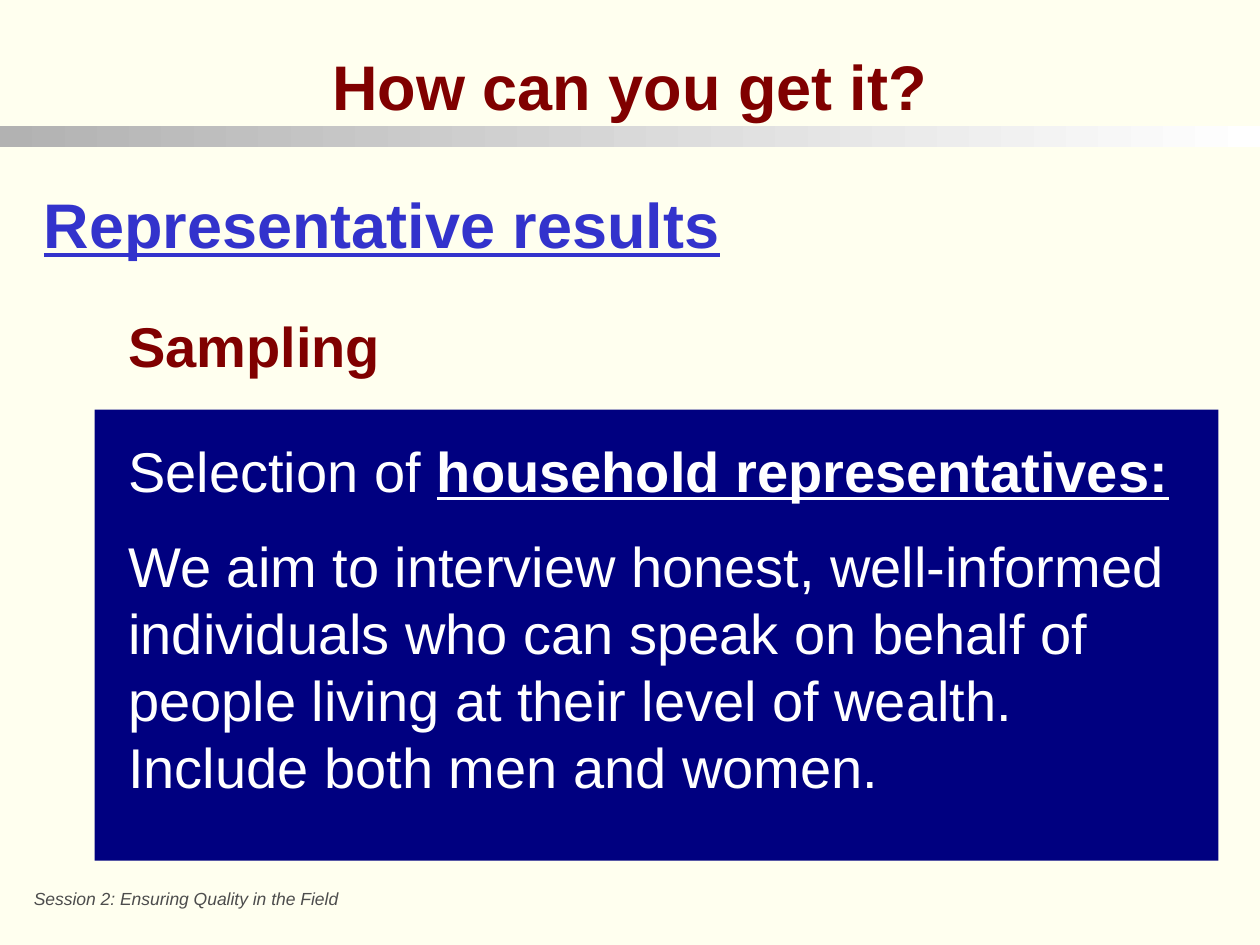
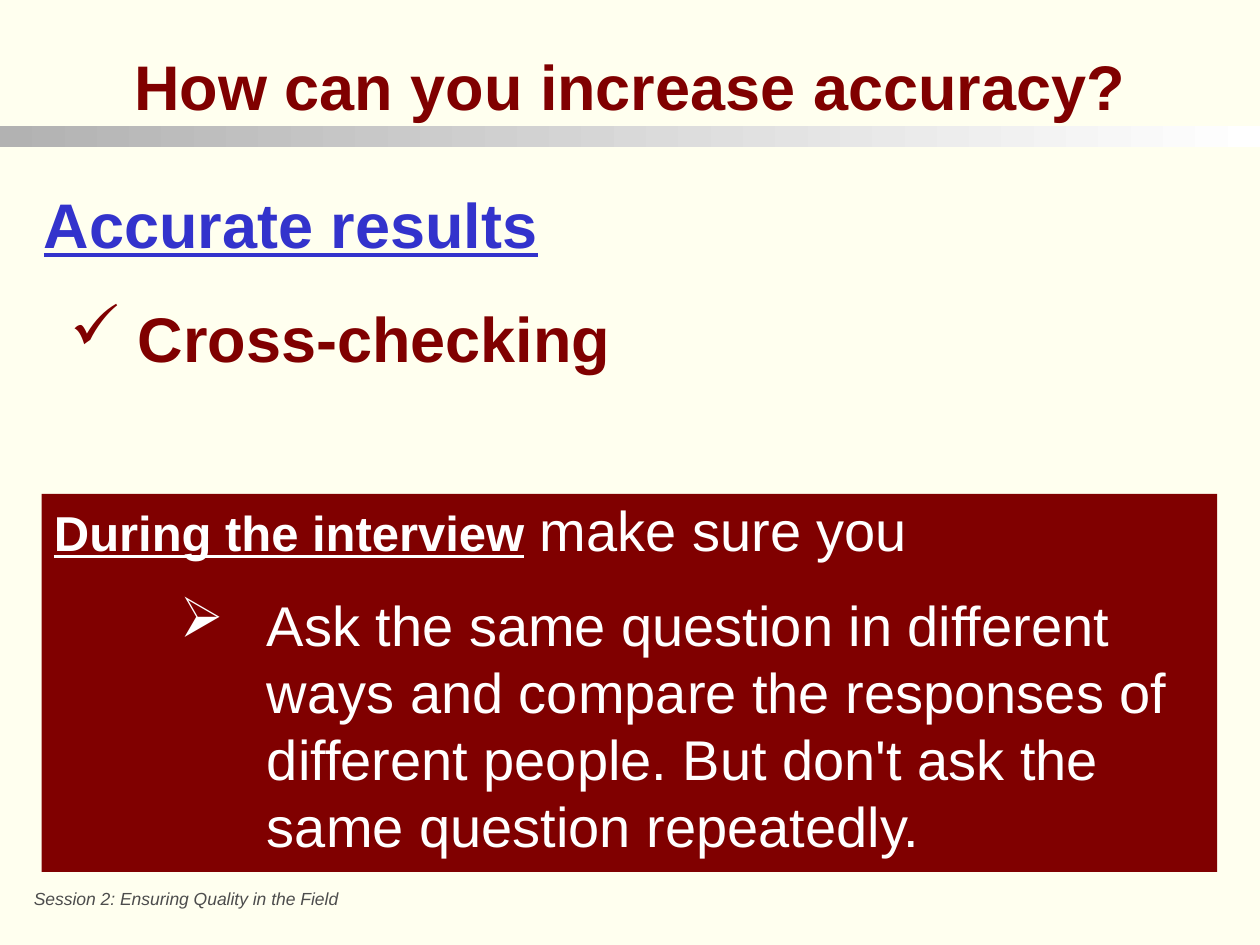
from lxml import etree
from pptx import Presentation
from pptx.dml.color import RGBColor
from pptx.enum.shapes import MSO_SHAPE
from pptx.enum.text import MSO_ANCHOR, MSO_AUTO_SIZE, PP_ALIGN
from pptx.oxml.ns import qn
from pptx.util import Inches, Pt

RECTANGLE = MSO_SHAPE.RECTANGLE
CENTER = PP_ALIGN.CENTER
TOP, MIDDLE = MSO_ANCHOR.TOP, MSO_ANCHOR.MIDDLE
FIT_SHAPE = MSO_AUTO_SIZE.SHAPE_TO_FIT_TEXT

FONT = "Arial"
CREAM, MAROON, NAVY, BLUE = "FFFFEF", "800000", "000080", "3333CC"
WHITE, SILVER, GRAY = "FFFFFF", "B2B2B2", "4D4D4D"
FOOTER = "Session 2: Ensuring Quality in the Field"


def color(hex_value):
    return RGBColor.from_string(hex_value)


def add_rectangle(page, box):
    shape = page.shapes.add_shape(RECTANGLE, *map(Inches, box))
    shape.shadow.inherit = False
    shape.line.fill.background()
    return shape


def add_panel(page, box, fill):
    panel = add_rectangle(page, box)
    panel.fill.solid()
    panel.fill.fore_color.rgb = color(fill)


def add_text_frame(page, box, anchor=TOP):
    frame = page.shapes.add_textbox(*map(Inches, box)).text_frame
    frame.word_wrap = True
    frame.auto_size = FIT_SHAPE
    frame.vertical_anchor = anchor
    return frame


def set_para(para, left=0, first=0, before=0, bullet=None, align=None):
    """Set indents in inches, space before in points, and the bullet."""
    para.space_before = Pt(before)
    if align is not None:
        para.alignment = align
    props = para._p.get_or_add_pPr()
    props.set("marL", str(Inches(left)))
    props.set("indent", str(Inches(first)))
    if bullet:
        etree.SubElement(props, qn("a:buChar")).set("char", bullet)
    else:
        etree.SubElement(props, qn("a:buNone"))


def add_span(para, text, size, ink, bold=False, underline=False, italic=False):
    span = para.add_run()
    span.text = text
    font = span.font
    font.name, font.size = FONT, Pt(size)
    font.color.rgb = color(ink)
    font.bold, font.underline, font.italic = bold, underline, italic


def add_frame_parts(page, title, heading, heading_width):
    """Add the band, title, underlined heading and footer all slides share."""
    band = add_rectangle(page, (0, 1, 10, 0.17))
    band.fill.gradient()
    band.fill.gradient_angle = 0
    for stop, tint in zip(band.fill.gradient_stops, (SILVER, WHITE)):
        stop.color.rgb = color(tint)

    para = add_text_frame(page, (0.75, 0.33, 8.5, 0.7)).paragraphs[0]
    set_para(para, align=CENTER)
    add_span(para, title, 36, MAROON, bold=True)

    para = add_text_frame(page, (0.25, 1.42, heading_width, 0.7), MIDDLE).paragraphs[0]
    set_para(para, left=0.5, first=-0.5)
    add_span(para, heading, 36, BLUE, bold=True, underline=True)

    para = add_text_frame(page, (0.17, 7, 3.33, 0.27)).paragraphs[0]
    set_para(para)
    add_span(para, FOOTER, 10, GRAY, italic=True)


def add_page(deck):
    page = deck.slides.add_slide(deck.slide_layouts[6])
    page.background.fill.solid()
    page.background.fill.fore_color.rgb = color(CREAM)
    return page


def add_sampling_text(page, box):
    frame = add_text_frame(page, box)
    para = frame.paragraphs[0]
    set_para(para, left=0.5)
    add_span(para, "Sampling", 32, MAROON, bold=True)

    para = frame.add_paragraph()
    set_para(para, left=0.5, before=33)
    add_span(para, "Selection of ", 32, WHITE)
    add_span(para, "household representatives:", 32, WHITE, bold=True, underline=True)

    para = frame.add_paragraph()
    set_para(para, left=0.5, before=16)
    add_span(para, "We aim to interview honest, well-informed individuals who can "
             "speak on behalf of people living at their level of wealth. "
             "Include both men and women.", 32, WHITE)


def add_interview_text(page, box):
    frame = add_text_frame(page, box)
    para = frame.paragraphs[0]
    set_para(para, left=0.44, first=-0.44)
    add_span(para, "During the interview", 28, WHITE, bold=True, underline=True)
    add_span(para, " make sure you", 32, WHITE)

    para = frame.add_paragraph()
    set_para(para, left=1.69, first=-0.69, before=16, bullet="➢")
    add_span(para, "Ask the same question in different ways and compare the "
             "responses of different people. But don't ask the same question "
             "repeatedly.", 32, WHITE)


def add_check_item(page, box, text):
    para = add_text_frame(page, box).paragraphs[0]
    set_para(para, bullet="✓", align=CENTER)
    add_span(para, text, 36, MAROON, bold=True)


def build_sampling_page(deck):
    page = add_page(deck)
    add_panel(page, (0.75, 3.25, 8.92, 3.58), NAVY)
    add_frame_parts(page, "How can you get it?", "Representative results", 5.58)
    add_sampling_text(page, (0.42, 2.42, 9.08, 4.08))


def build_accuracy_page(deck):
    page = add_page(deck)
    add_panel(page, (0.33, 3.92, 9.33, 3), MAROON)
    add_frame_parts(page, "How can you increase accuracy?", "Accurate results", 4.25)
    add_interview_text(page, (0.33, 3.88, 9.08, 3.03))
    add_check_item(page, (0.33, 2.33, 4.75, 0.7), " Cross-checking")


def main():
    deck = Presentation()
    deck.slide_width, deck.slide_height = Inches(10), Inches(7.5)
    build_sampling_page(deck)
    build_accuracy_page(deck)
    deck.save("out.pptx")


if __name__ == "__main__":
    main()
